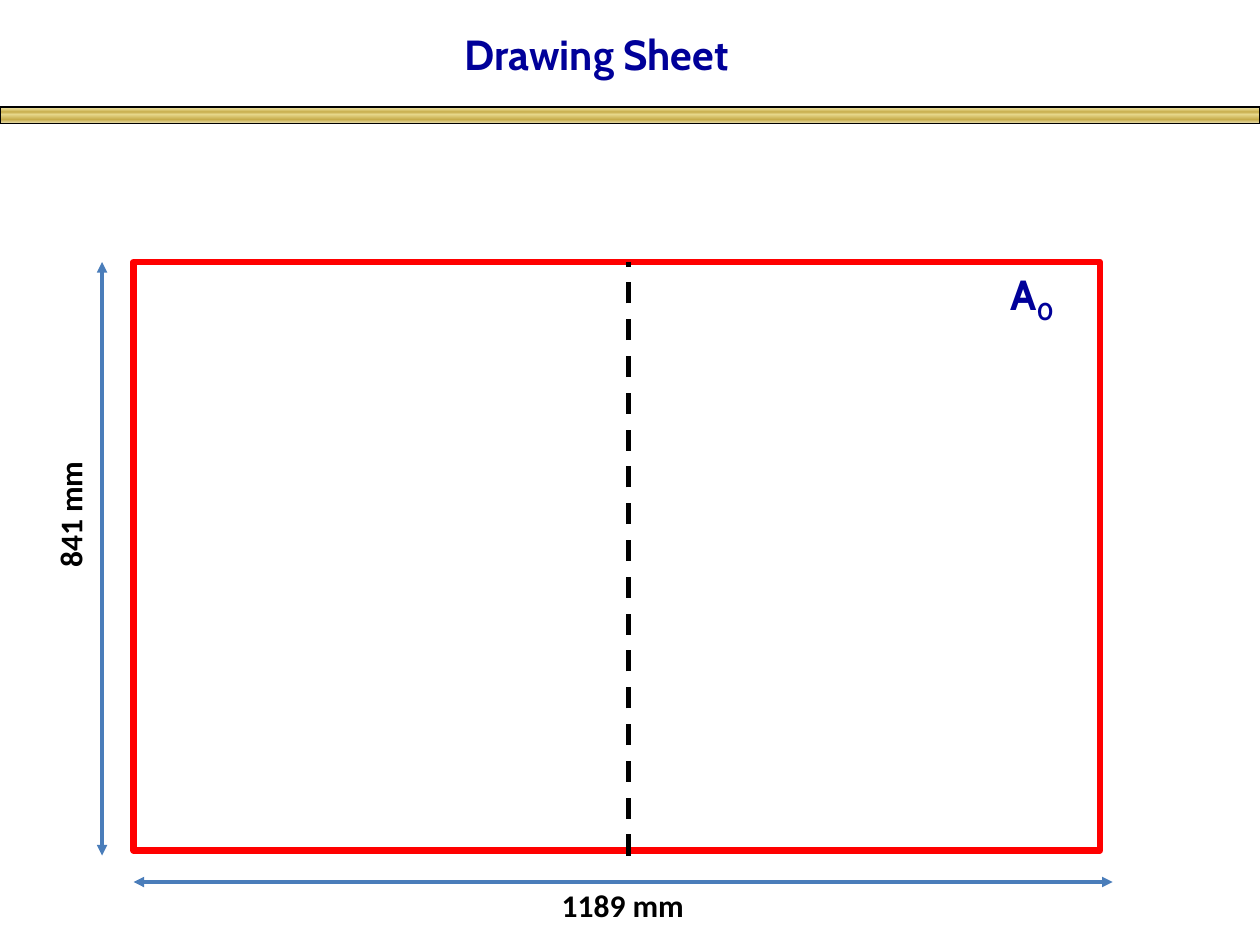
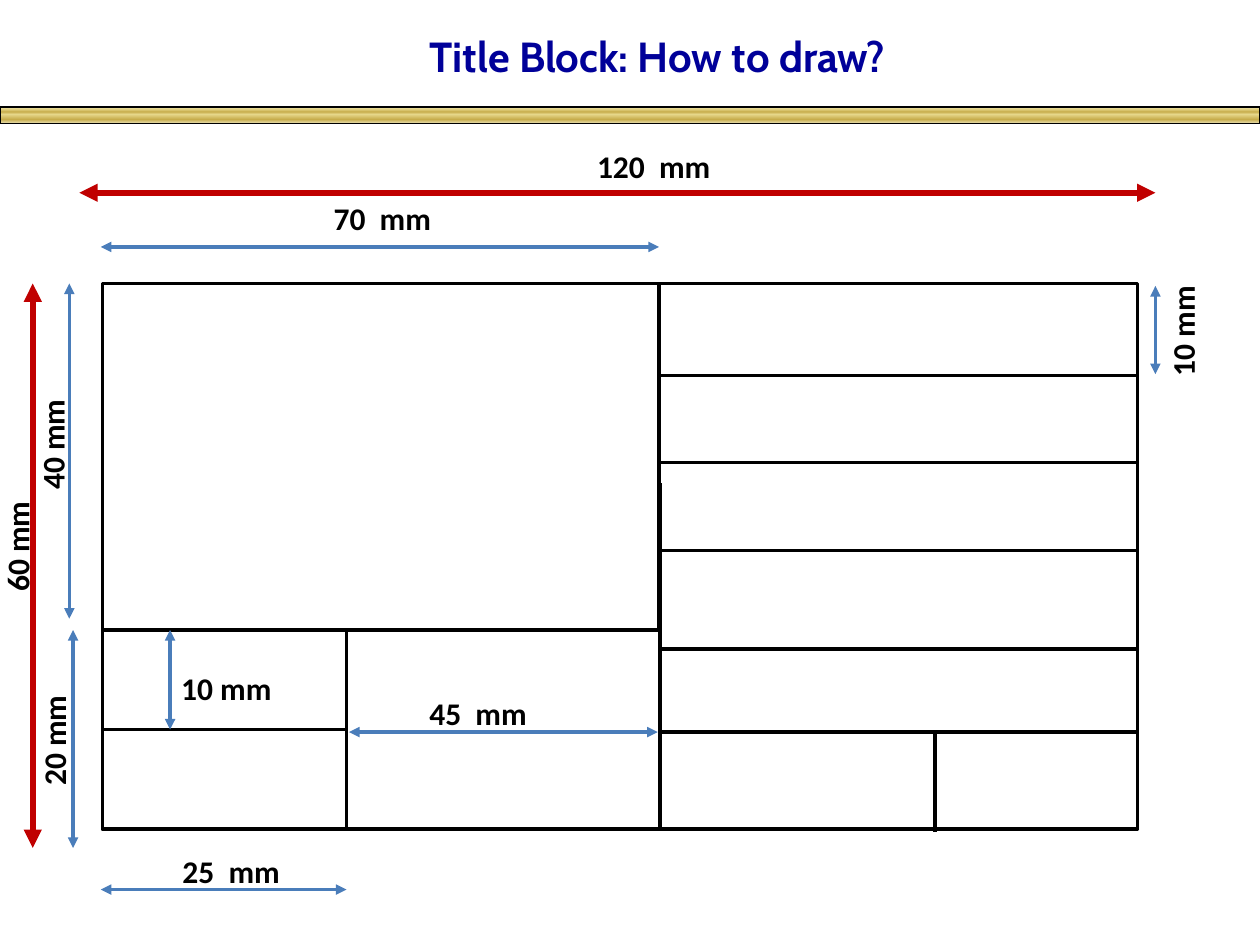
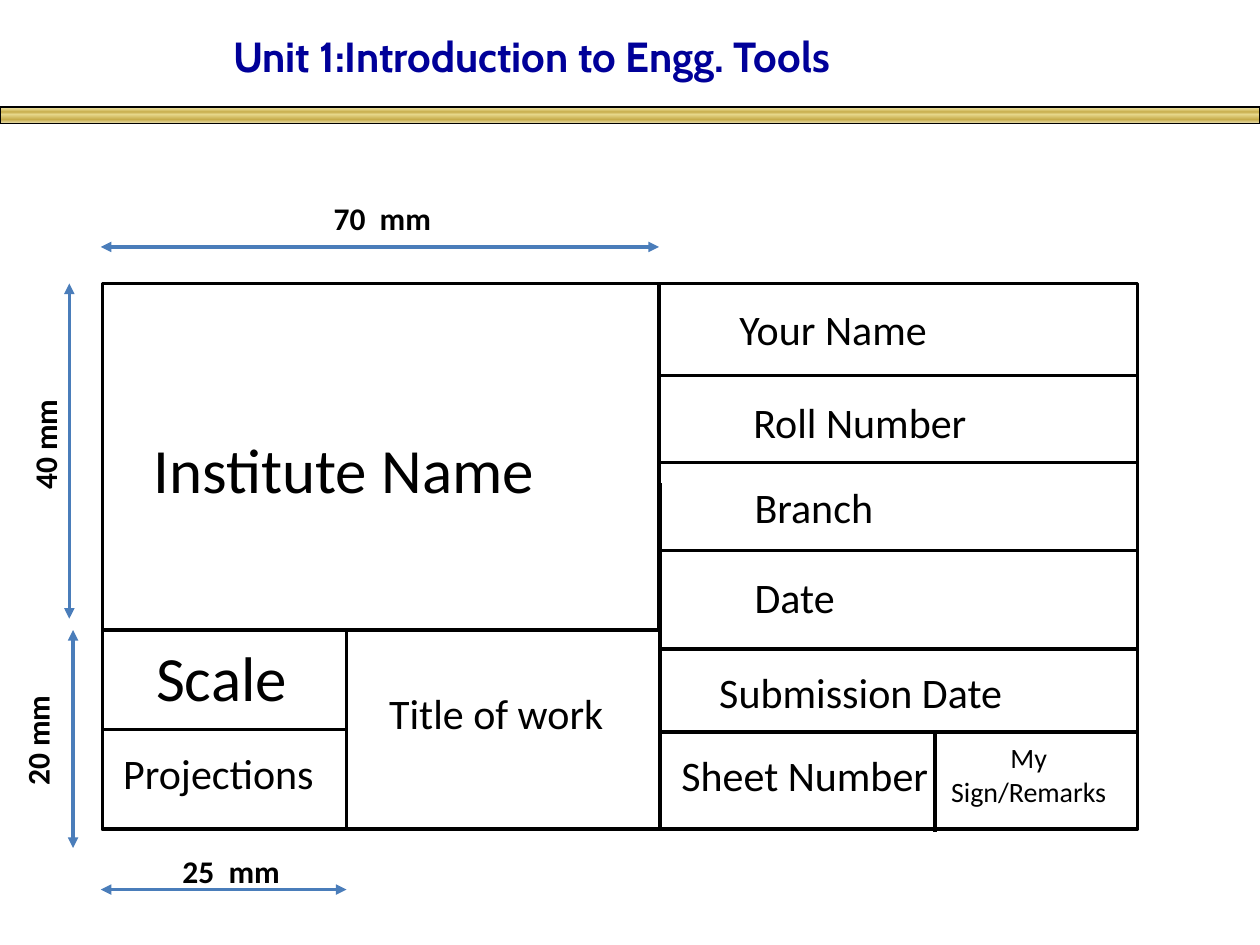
from lxml.etree import SubElement
from pptx import Presentation
from pptx.dml.color import RGBColor
from pptx.enum.dml import MSO_LINE
from pptx.enum.shapes import MSO_CONNECTOR, MSO_SHAPE
from pptx.enum.text import MSO_ANCHOR, MSO_AUTO_SIZE, PP_ALIGN
from pptx.oxml.ns import qn
from pptx.util import Inches, Pt

COLORS = {
    "title": "000099", "ink": "000000", "sheet": "FF0000",
    "dimension": "4A7DBA", "overall": "C00000",
    "gold_pale": "E6DCAC", "gold_light": "E6D78A", "gold_dark": "C7AC4C",
}
BAND_STOPS = [(0, "gold_pale"), (12, "gold_light"), (30, "gold_dark"),
              (45, "gold_light"), (77, "gold_dark"), (100, "gold_pale")]
TITLE_FONT, BODY_FONT = "Cabin", "Calibri"

# Edges of the title block
LEFT, TOP, RIGHT, BOTTOM = 0.81, 2.25, 9.03, 6.58
MIDDLE, SPLIT = 5.23, 5.0
ROW_LINES = [2.98, 3.67, 4.37, 5.15, 5.81]


def rgb(name):
    return RGBColor.from_string(COLORS[name])


def add_run(p, text, size, font=BODY_FONT, color="ink", bold=False):
    r = p.add_run()
    r.text = text
    r.font.size = Pt(size)
    r.font.name = font
    r.font.bold = bold
    r.font.color.rgb = rgb(color)
    return r


def add_text(s, text, x, y, w, h, size=24, bold=False, rotation=0, align=PP_ALIGN.LEFT):
    box = s.shapes.add_textbox(Inches(x), Inches(y), Inches(w), Inches(h))
    box.rotation = rotation
    tf = box.text_frame
    tf.word_wrap = True
    tf.auto_size = MSO_AUTO_SIZE.SHAPE_TO_FIT_TEXT
    p = tf.paragraphs[0]
    p.alignment = align
    add_run(p, text, size, bold=bold)


def add_dimension_label(s, text, x, y, w=1.17, rotation=0):
    add_text(s, text, x, y, w, 0.4, size=18, bold=True, rotation=rotation)


def add_rect(s, x, y, w, h, color, width):
    rect = s.shapes.add_shape(MSO_SHAPE.RECTANGLE, Inches(x), Inches(y), Inches(w), Inches(h))
    rect.shadow.inherit = False
    rect.fill.background()
    rect.line.color.rgb = rgb(color)
    rect.line.width = Pt(width)
    return rect


def add_line(s, x1, y1, x2, y2, color="ink", width=2):
    line = s.shapes.add_connector(MSO_CONNECTOR.STRAIGHT, Inches(x1), Inches(y1),
                                  Inches(x2), Inches(y2))
    line.line.color.rgb = rgb(color)
    line.line.width = Pt(width)
    SubElement(line._element.spPr, qn("a:effectLst"))
    return line


def add_dimension(s, x1, y1, x2, y2, color="dimension", width=2):
    """Line with an arrowhead at both ends."""
    ln = add_line(s, x1, y1, x2, y2, color, width).line._get_or_add_ln()
    for end in ("a:headEnd", "a:tailEnd"):
        SubElement(ln, qn(end), type="triangle")


def add_band(s):
    band = add_rect(s, 0, 0.85, 10, 0.13, "ink", 0.75)
    band.fill.gradient()
    band.fill.gradient_angle = 270
    stops = band._element.spPr.find(qn("a:gradFill")).find(qn("a:gsLst"))
    for stop in list(stops):
        stops.remove(stop)
    for percent, name in BAND_STOPS:
        stop = SubElement(stops, qn("a:gs"), pos=str(percent * 1000))
        SubElement(stop, qn("a:srgbClr"), val=COLORS[name])


def add_slide(prs, title, x, y, w):
    s = prs.slides.add_slide(prs.slide_layouts[5])
    add_band(s)
    shape = s.shapes.title
    shape.left, shape.top, shape.width, shape.height = map(Inches, (x, y, w, 0.5))
    tf = shape.text_frame
    tf.word_wrap = True
    tf.auto_size = MSO_AUTO_SIZE.NONE
    tf.vertical_anchor = MSO_ANCHOR.TOP
    p = tf.paragraphs[0]
    p.alignment = PP_ALIGN.LEFT
    add_run(p, title, 24, TITLE_FONT, "title", True)
    return s


def add_title_block(s, label_40_x, label_20_x):
    """Frame, inner lines and the dimensions common to both title blocks."""
    add_rect(s, LEFT, TOP, RIGHT - LEFT, BOTTOM - TOP, "ink", 1.75)
    add_line(s, LEFT, SPLIT, MIDDLE, SPLIT)
    add_line(s, MIDDLE, SPLIT, MIDDLE, TOP)
    add_line(s, 5.24, BOTTOM, 5.24, 3.83)
    add_line(s, 2.75, BOTTOM, 2.75, SPLIT)
    add_line(s, 2.76, 5.79, LEFT, 5.79)
    add_line(s, 7.42, 6.6, 7.42, 5.8)
    for y in ROW_LINES:
        add_line(s, RIGHT, y, MIDDLE, y)

    add_dimension(s, MIDDLE, 1.96, 0.8, 1.96)
    add_dimension_label(s, "70  mm", 2.55, 1.53)
    add_dimension(s, 0.55, 4.91, 0.55, TOP)
    add_dimension_label(s, "40 mm", label_40_x, 3.32, 0.93, 270)
    add_dimension(s, 0.58, 6.73, 0.58, SPLIT)
    add_dimension_label(s, "20 mm", label_20_x, 5.67, 0.93, 270)
    add_dimension(s, 2.75, 7.06, 0.8, 7.06)
    add_dimension_label(s, "25  mm", 1.35, 6.71)


def build_drawing_sheet(prs):
    s = add_slide(prs, "Drawing Sheet", 3.59, 0.18, 2.83)
    add_rect(s, 1.06, 2.08, 7.67, 4.67, "sheet", 3.75)
    add_dimension(s, 1.06, 7, 8.83, 7)
    add_dimension_label(s, "1189 mm", 4.36, 6.98)
    add_dimension(s, 0.81, 6.79, 0.81, 2.08)
    add_dimension_label(s, "841 mm", -0.03, 3.82, rotation=270)

    sheet_size = s.shapes.add_textbox(Inches(7.92), Inches(2.08), Inches(0.8), Inches(0.5))
    tf = sheet_size.text_frame
    tf.word_wrap = True
    p = tf.paragraphs[0]
    add_run(p, "A", 24, TITLE_FONT, "title", True)
    subscript = add_run(p, "0", 24, TITLE_FONT, "title", True)
    subscript._r.get_or_add_rPr().set("baseline", "-25000")

    fold = add_line(s, 4.99, 6.79, 4.99, 2.08, width=3)
    fold.line.dash_style = MSO_LINE.DASH


def build_block_dimensions(prs):
    s = add_slide(prs, "Title Block: How to draw?", 3.31, 0.19, 4.92)
    add_title_block(s, -0.05, -0.04)
    add_dimension(s, 1.35, SPLIT, 1.35, 5.79)
    add_dimension_label(s, "10 mm", 1.34, 5.26, 0.93)
    add_dimension(s, 5.22, 5.81, 2.77, 5.81)
    add_dimension_label(s, "45  mm", 3.31, 5.46)
    add_dimension(s, 9.17, 2.27, 9.17, 2.97)
    add_dimension_label(s, "10 mm", 8.92, 2.42, 0.93, 270)
    add_dimension(s, 9.17, 1.53, 0.63, 1.53, "overall", 3.5)
    add_dimension_label(s, "120  mm", 4.64, 1.12)
    add_dimension(s, 0.26, 6.73, 0.26, TOP, "overall", 3.5)
    add_dimension_label(s, "60 mm", -0.33, 4.13, 0.93, 270)


def build_block_contents(prs):
    s = add_slide(prs, "Unit 1:Introduction to Engg. Tools", 1.75, 0.19, 6.96)
    add_title_block(s, -0.11, -0.17)
    add_text(s, "Institute Name", 1.12, 3.37, 3.25, 0.71, size=36)
    add_text(s, "Scale", 1.14, 5.02, 1.25, 0.71, size=36)
    fields = [
        ("Projections", 0.88, 5.88, 1.8),
        ("Title of work", 2.99, 5.41, 1.95),
        ("Your Name", 5.77, 2.36, 1.95),
        ("Roll Number", 5.88, 3.1, 1.95),
        ("Branch", 5.89, 3.77, 1.95),
        ("Date", 5.89, 4.49, 1.95),
        ("Submission Date", 5.61, 5.24, 3.11),
        ("Sheet Number", 5.31, 5.9, 2.52),
    ]
    for text, x, y, w in fields:
        add_text(s, text, x, y, w, 0.5)
    add_text(s, "My Sign/Remarks", 7.38, 5.83, 1.57, 0.64, size=16, align=PP_ALIGN.CENTER)


def main():
    prs = Presentation()
    prs.slide_width, prs.slide_height = Inches(10), Inches(7.5)
    build_drawing_sheet(prs)
    build_block_dimensions(prs)
    build_block_contents(prs)
    prs.save("out.pptx")


if __name__ == "__main__":
    main()
